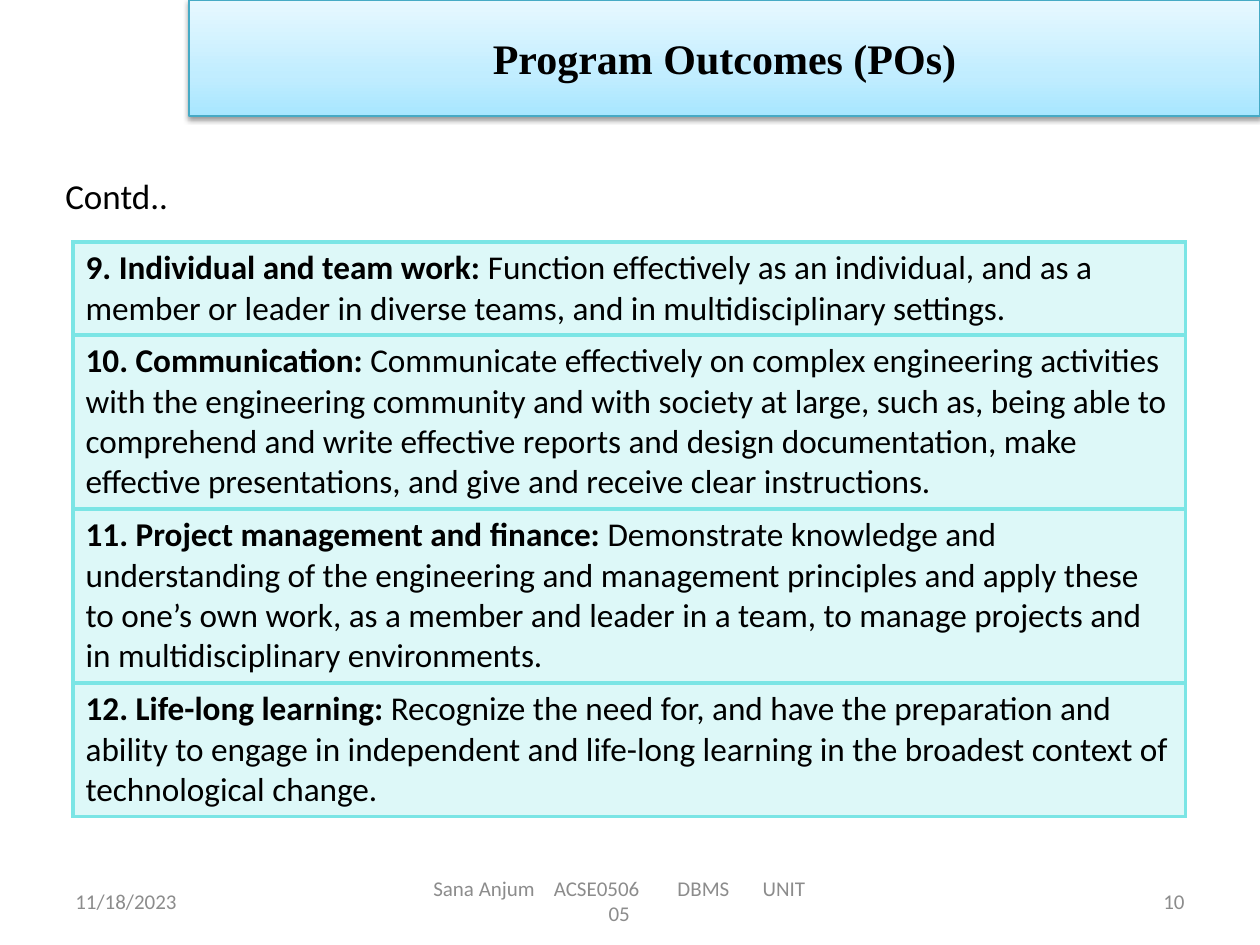
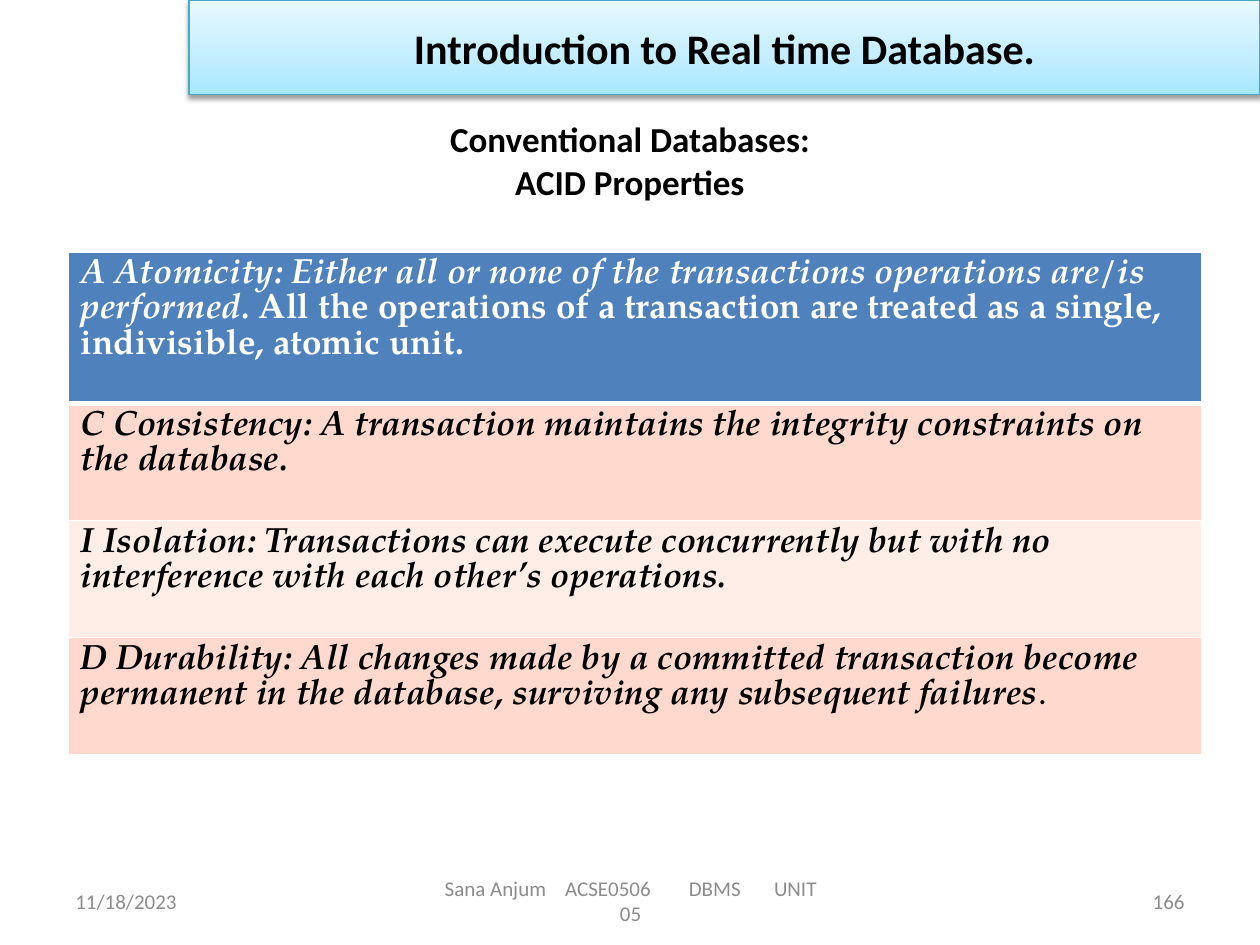
"""Build two lecture slides: program outcomes and the ACID properties."""
import lxml.etree
import pptx
import pptx.dml.color
import pptx.enum.text
import pptx.oxml.ns
import pptx.util

PX = 9144
BLACK, WHITE, GREY = "000000", "FFFFFF", "8C8C8C"
AQUA, HEADER_BLUE, ROSE, PALE_ROSE = "7BE5E5", "4F81BD", "FFD9CE", "FFEDE8"
BANNER_LINE = "46AAC5"
BANNER_STOPS = [(0, "A7E6FF"), (35, "C1EDFF"), (100, "E7F8FF")]
BODY_FONT, SERIF_FONT, BOOK_FONT = "Calibri", "Times New Roman", "TeX Gyre Pagella"
ALIGN = pptx.enum.text.PP_ALIGN
MIDDLE = pptx.enum.text.MSO_ANCHOR.MIDDLE
SPACE_WIDTH = 2.71


def px(*lengths):
    return [pptx.util.Emu(length * PX) for length in lengths]


def rgb(color):
    return pptx.dml.color.RGBColor.from_string(color)


def add_node(parent, tag, **attributes):
    values = {name: str(value) for name, value in attributes.items()}
    return lxml.etree.SubElement(parent, pptx.oxml.ns.qn(tag), values)


def add_color(parent, color, alpha=100):
    node = add_node(parent, "a:srgbClr", val=color)
    if alpha < 100:
        add_node(node, "a:alpha", val=alpha * 1000)


class Deck:
    def __init__(self):
        self.presentation = pptx.Presentation()
        self.presentation.slide_width, self.presentation.slide_height = px(1000, 750)
        self.slide = None

    def add_slide(self):
        layout = self.presentation.slide_layouts[5]
        self.slide = self.presentation.slides.add_slide(layout)

    def run(self, paragraph, text, size, font=BODY_FONT, color=BLACK, bold=False, italic=False):
        run = paragraph.add_run()
        run.text = text
        run.font.name, run.font.size = font, pptx.util.Pt(size)
        run.font.bold, run.font.italic = bold, italic
        run.font.color.rgb = rgb(color)
        return run

    def banner(self, text, height, font=BODY_FONT):
        title = self.slide.shapes.title
        title.left, title.top, title.width, title.height = px(150, 0, 850, height)
        title.fill.gradient()
        title.fill.gradient_angle = 90
        stops = title._element.spPr.find(".//" + pptx.oxml.ns.qn("a:gsLst"))
        stops.clear()
        for position, color in BANNER_STOPS:
            add_color(add_node(stops, "a:gs", pos=position * 1000), color)
        title.line.color.rgb = rgb(BANNER_LINE)
        title.line.width = pptx.util.Pt(0.75)
        title.shadow.inherit = False
        effects = title._element.spPr.find(pptx.oxml.ns.qn("a:effectLst"))
        shadow = add_node(effects, "a:outerShdw", blurRad=pptx.util.Pt(3.1),
                          dist=pptx.util.Pt(1.6), dir=5400000, rotWithShape=0)
        add_color(shadow, BLACK, 38)
        frame = title.text_frame
        frame.auto_size = pptx.enum.text.MSO_AUTO_SIZE.NONE
        frame.vertical_anchor = MIDDLE
        frame.paragraphs[0].alignment = ALIGN.CENTER
        self.run(frame.paragraphs[0], text, 24, font, bold=True)

    def text_box(self, left, top, width, height, align=ALIGN.LEFT, wrap=True):
        frame = self.slide.shapes.add_textbox(*px(left, top, width, height)).text_frame
        frame.word_wrap = wrap
        frame.vertical_anchor = MIDDLE
        frame.paragraphs[0].alignment = align
        return frame.paragraphs[0]

    def heading(self, lines):
        paragraph = self.text_box(50, 90, 900, 74, ALIGN.CENTER)
        for index, line in enumerate(lines):
            if index:
                paragraph.add_line_break()
            self.run(paragraph, line, 20, bold=True)

    def footer(self, number, left, width):
        self.run(self.text_box(50, 695, 233, 40), "11/18/2023", 12, color=GREY)
        course = self.text_box(left, 695, width, 40, ALIGN.CENTER)
        for word, spaces in [("Sana Anjum", 4), ("ACSE0506", 8), ("DBMS", 7)]:
            self.run(course, word, 12, color=GREY)
            gap = self.run(course, " ", 12, color=GREY)
            spacing = round((spaces - 1) * SPACE_WIDTH * 100)
            gap.font._element.set("spc", str(spacing))
        self.run(course, "UNIT", 12, color=GREY)
        course.add_line_break()
        self.run(course, "05", 12, color=GREY)
        page = self.text_box(717, 695, 233, 40, ALIGN.RIGHT)
        self.run(page, str(number), 12, color=GREY)

    def table(self, left, top, width, heights):
        frame = self.slide.shapes.add_table(
            len(heights), 1, *px(left, top, width, sum(heights)))
        table = frame.table
        table.first_row = table.horz_banding = False
        for row, height in zip(table.rows, heights):
            row.height = px(height)[0]
        return [row.cells[0] for row in table.rows]

    def style_cell(self, cell, fill, border, top=1, bottom=1, side=1, alpha=100):
        properties = cell._tc.get_or_add_tcPr()
        for edge, width in zip("LRTB", (side, side, top, bottom)):
            line = add_node(properties, "a:ln" + edge, w=pptx.util.Pt(width))
            add_color(add_node(line, "a:solidFill"), border)
        add_color(add_node(properties, "a:solidFill"), fill, alpha)


OUTCOMES = [
    (2, "9. Individual and team work: ",
     "Function effectively as an individual, and as a member or leader in diverse teams, "
     "and in multidisciplinary settings."),
    (4, "10. Communication: ",
     "Communicate effectively on complex engineering activities with the engineering "
     "community and with society at large, such as, being able to comprehend and write "
     "effective reports and design documentation, make effective presentations, and give "
     "and receive clear instructions."),
    (4, "11. Project management and finance: ",
     "Demonstrate knowledge and understanding of the engineering and management principles "
     "and apply these to one’s own work, as a member and leader in a team, to manage "
     "projects and in multidisciplinary environments."),
    (3, "12. Life-long learning: ",
     "Recognize the need for, and have the preparation and ability to engage in independent "
     "and life-long learning in the broadest context of technological change."),
]

ACID = [
    (HEADER_BLUE, WHITE,
     "A Atomicity: Either all or none of the transactions operations are/is performed. ",
     "All the operations of a transaction are treated as a single, indivisible, atomic unit.",
     True),
    (ROSE, BLACK,
     "C Consistency: A transaction maintains the integrity constraints on the database.",
     "", False),
    (PALE_ROSE, BLACK,
     "I Isolation: Transactions can execute concurrently but with no interference with "
     "each other’s operations.", "", False),
    (ROSE, BLACK,
     "D Durability: All changes made by a committed transaction become permanent in the "
     "database, surviving any subsequent failures", ".", False),
]


def outcomes_slide(deck):
    deck.add_slide()
    deck.banner("Program Outcomes (POs)", 92, SERIF_FONT)
    deck.run(deck.text_box(42, 133, 102, 44, wrap=False), "Contd..", 20)
    heights = [10 + 32 * lines for lines, _, _ in OUTCOMES]
    cells = deck.table(58, 192, 883, heights)
    for cell, (_, name, description) in zip(cells, OUTCOMES):
        deck.style_cell(cell, AQUA, AQUA, 2.25, 2.25, 2.25, alpha=25)
        paragraph = cell.text_frame.paragraphs[0]
        deck.run(paragraph, name, 19, bold=True)
        deck.run(paragraph, description, 19)
    deck.footer(10, 325, 333)


def acid_slide(deck):
    deck.add_slide()
    deck.banner("Introduction to Real time Database.", 75)
    deck.heading(["Conventional Databases:", "ACID Properties"])
    cells = deck.table(54, 200, 900, [120, 93, 93, 93])
    for index, (cell, row) in enumerate(zip(cells, ACID)):
        fill, color, statement, ending, bold_ending = row
        deck.style_cell(cell, fill, WHITE, top=3 if index == 1 else 1,
                        bottom=3 if index == 0 else 1)
        paragraph = cell.text_frame.paragraphs[0]
        paragraph.line_spacing = pptx.util.Pt(20)
        deck.run(paragraph, statement, 20, BOOK_FONT, color, True, True)
        if ending:
            deck.run(paragraph, ending, 20, BOOK_FONT, color, bold_ending)
    deck.footer(166, 342, 317)


def main():
    deck = Deck()
    outcomes_slide(deck)
    acid_slide(deck)
    deck.presentation.save("out.pptx")


if __name__ == "__main__":
    main()
